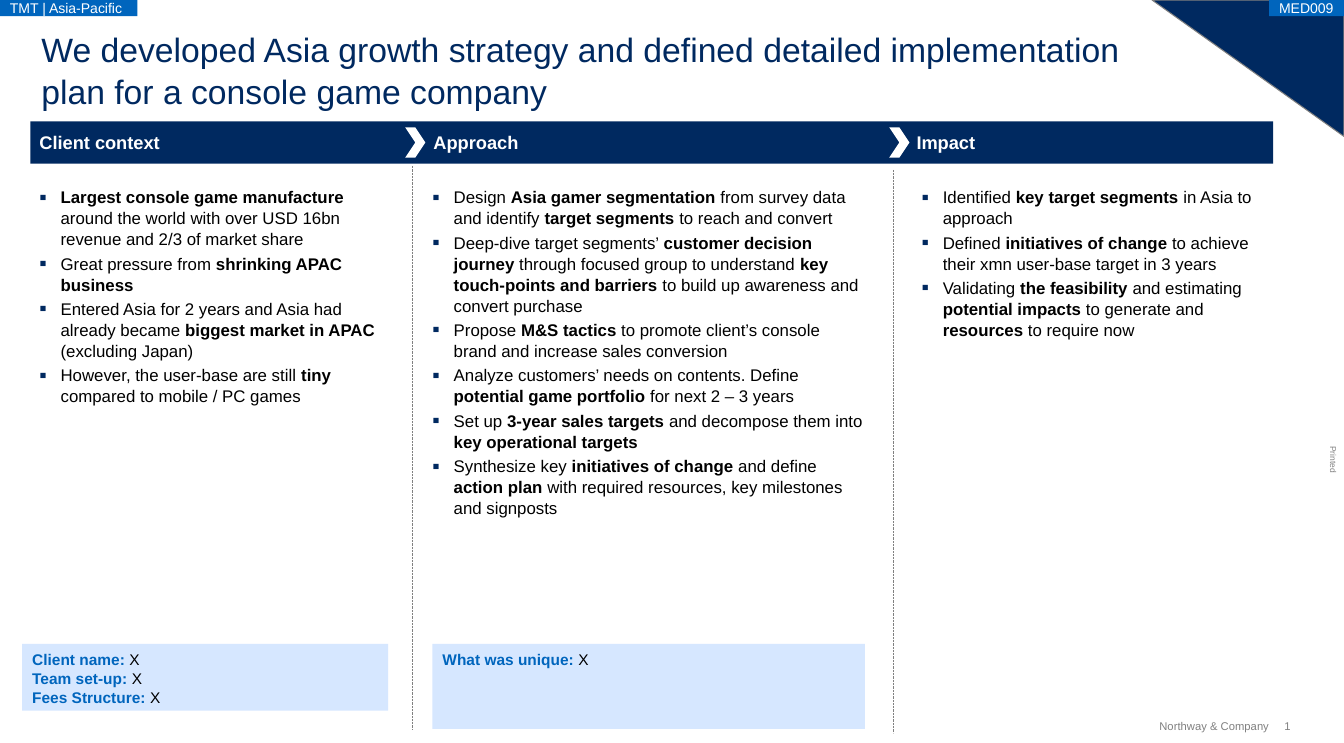
from lxml import etree
from pptx import Presentation
from pptx.dml.color import RGBColor
from pptx.enum.dml import MSO_LINE
from pptx.enum.shapes import MSO_CONNECTOR, MSO_SHAPE
from pptx.enum.text import MSO_ANCHOR, PP_ALIGN
from pptx.oxml.ns import qn
from pptx.util import Inches, Pt

COLORS = {"navy": "002960", "blue": "0065BD", "pale": "D6E7FF",
          "gray": "808080", "white": "FFFFFF", "black": "000000"}
FONT = "Arial"
LINE_SPACING = 1.04

COLUMNS = [
    {"heading": "Client context", "heading_left": 0.39, "box": (0.39, 1.84, 3.48, 2.14),
     "bullets": [
         "**Largest console game manufacture **around the world with over USD 16bn "
         "revenue and 2/3 of market share",
         "Great pressure from **shrinking APAC business**",
         "Entered Asia for 2 years and Asia had already became "
         "**biggest market in APAC** (excluding Japan)",
         "However, the user-base are still **tiny** compared to mobile / PC games"]},
    {"heading": "Approach", "heading_left": 4.29, "box": (4.28, 1.84, 4.28, 3.23),
     "bullets": [
         "Design **Asia gamer segmentation **from survey data and identify "
         "**target segments **to reach and convert",
         "Deep-dive target segments’ **customer decision journey** through focused group "
         "to understand **key touch-points and barriers **to build up awareness and "
         "convert purchase",
         "Propose **M&S tactics **to promote client’s console brand and increase "
         "sales conversion",
         "Analyze customers’ needs on contents. Define **potential game portfolio **"
         "for next 2 – 3 years",
         "Set up **3-year sales targets **and decompose them into "
         "**key operational targets**",
         "Synthesize key **initiatives of change **and define **action plan **"
         "with required resources, key milestones and signposts"]},
    {"heading": "Impact", "heading_left": 9.07, "box": (9.12, 1.84, 3.4, 1.49),
     "bullets": [
         "Identified **key target segments **in Asia to approach",
         "Defined **initiatives of change **to achieve their xmn user-base target in 3 years",
         "Validating **the feasibility **and estimating **potential impacts **"
         "to generate and **resources** to require now"]},
]
DIVIDERS = [(4.08, 1.64, 7.22), (8.84, 1.68, 7.25)]
CHEVRON_LEFTS = [4.01, 8.8]
NOTES = [
    ((0.22, 6.37, 3.62, 0.66), ["Client name: ", "Team set-up: ", "Fees Structure: "]),
    ((4.28, 6.37, 4.28, 0.84), ["What was unique: "]),
]


def rgb(name):
    return RGBColor.from_string(COLORS[name])


def add_run(paragraph, text, size, color, bold=False):
    run = paragraph.add_run()
    run.text = text
    run.font.name = FONT
    run.font.size = Pt(size)
    run.font.bold = bold
    run.font.color.rgb = rgb(color)


def add_block(slide, box, fill, kind=MSO_SHAPE.RECTANGLE):
    shape = slide.shapes.add_shape(kind, *map(Inches, box))
    shape.shadow.inherit = False
    shape.fill.solid()
    shape.fill.fore_color.rgb = rgb(fill)
    shape.line.fill.background()
    return shape


def add_text_frame(slide, box, wrap=True, anchor=MSO_ANCHOR.TOP):
    shape = slide.shapes.add_textbox(*map(Inches, box))
    frame = shape.text_frame
    frame.word_wrap = wrap
    frame.vertical_anchor = anchor
    frame.margin_left = frame.margin_right = frame.margin_top = frame.margin_bottom = 0
    return shape, frame


def add_label(slide, box, text, size, color, bold=False, wrap=False,
              anchor=MSO_ANCHOR.MIDDLE, align=PP_ALIGN.LEFT):
    shape, frame = add_text_frame(slide, box, wrap, anchor)
    paragraph = frame.paragraphs[0]
    paragraph.alignment = align
    add_run(paragraph, text, size, color, bold)
    return shape


def add_bullet(paragraph):
    properties = paragraph._p.get_or_add_pPr()
    properties.set("marL", str(Inches(0.21)))
    properties.set("indent", str(-Inches(0.21)))
    color = etree.SubElement(properties, qn("a:buClr"))
    etree.SubElement(color, qn("a:srgbClr"), val=COLORS["navy"])
    etree.SubElement(properties, qn("a:buSzPct"), val="125000")
    etree.SubElement(properties, qn("a:buFont"), typeface=FONT)
    etree.SubElement(properties, qn("a:buChar"), char="▪")


def add_bullet_list(slide, box, bullets):
    frame = add_text_frame(slide, box)[1]
    for index, bullet in enumerate(bullets):
        paragraph = frame.add_paragraph() if index else frame.paragraphs[0]
        add_bullet(paragraph)
        paragraph.line_spacing = LINE_SPACING
        if index:
            paragraph.space_before = Pt(2.4)
        for part, text in enumerate(bullet.split("**")):
            if text:
                add_run(paragraph, text, 12, "black", part % 2 == 1)


def add_tag(slide, box, text):
    frame = add_block(slide, box, "blue").text_frame
    frame.word_wrap = False
    frame.vertical_anchor = MSO_ANCHOR.MIDDLE
    frame.paragraphs[0].alignment = PP_ALIGN.LEFT
    add_run(frame.paragraphs[0], text, 10, "white")


def add_title_area(slide, box):
    left, top, width, height = box
    corner = add_block(slide, (left + width - 1.9, top, 1.9, 1.35), "navy",
                       MSO_SHAPE.RIGHT_TRIANGLE)
    corner.rotation = 180
    corner.line.color.rgb = rgb("gray")
    corner.line.width = Pt(0.75)
    frame = add_text_frame(slide, (left + 0.41, top + 0.27, 10.9, 0.67))[1]
    frame.paragraphs[0].line_spacing = LINE_SPACING
    add_run(frame.paragraphs[0], "We developed Asia growth strategy and defined detailed "
            "implementation plan for a console game company", 24, "navy")
    add_tag(slide, (left, top, 1.36, 0.16), "TMT | Asia-Pacific")
    add_tag(slide, (left + width - 0.74, top, 0.74, 0.16), "MED009")


def add_header_bar(slide, box):
    left, top, width, height = box
    add_block(slide, box, "navy")
    for column in COLUMNS:
        add_label(slide, (column["heading_left"], top + 0.09, 3, 0.24),
                  column["heading"], 13, "white", bold=True)
    for chevron_left in CHEVRON_LEFTS:
        add_block(slide, (chevron_left, top + 0.06, 0.2, height - 0.12), "white",
                  MSO_SHAPE.CHEVRON)


def add_divider(slide, x, top, bottom):
    line = slide.shapes.add_connector(MSO_CONNECTOR.STRAIGHT, Inches(x), Inches(top),
                                      Inches(x), Inches(bottom))
    line.line.color.rgb = rgb("gray")
    line.line.width = Pt(0.5)
    line.line.dash_style = MSO_LINE.ROUND_DOT
    etree.SubElement(line._element.spPr, qn("a:effectLst"))


def add_note(slide, box, labels):
    frame = add_block(slide, box, "pale").text_frame
    frame.word_wrap = True
    frame.vertical_anchor = MSO_ANCHOR.TOP
    for index, label in enumerate(labels):
        paragraph = frame.add_paragraph() if index else frame.paragraphs[0]
        paragraph.alignment = PP_ALIGN.LEFT
        paragraph.line_spacing = LINE_SPACING
        add_run(paragraph, label, 11, "blue", True)
        add_run(paragraph, "X", 11, "black")


def add_footer(slide, box):
    left, top, width, height = box
    add_label(slide, (left, top, 1.13, height), "Northway & Company", 8, "gray",
              align=PP_ALIGN.RIGHT)
    add_label(slide, (left + width - 0.14, top, 0.14, height), "1", 8, "gray")
    printed = add_label(slide, (13.06, 4.5, 0.27, 0.1), "Printed", 6, "gray")
    printed.rotation = 90


def main():
    presentation = Presentation()
    presentation.slide_width = Inches(13.3)
    presentation.slide_height = Inches(7.35)
    slide = presentation.slides.add_slide(presentation.slide_layouts[6])
    add_title_area(slide, (0, 0, 13.3, 1.2))
    add_header_bar(slide, (0.3, 1.2, 12.3, 0.42))
    for column in COLUMNS:
        add_bullet_list(slide, column["box"], column["bullets"])
    for divider in DIVIDERS:
        add_divider(slide, *divider)
    for box, labels in NOTES:
        add_note(slide, box, labels)
    add_footer(slide, (11.43, 7.12, 1.42, 0.13))
    presentation.save("out.pptx")


if __name__ == "__main__":
    main()
